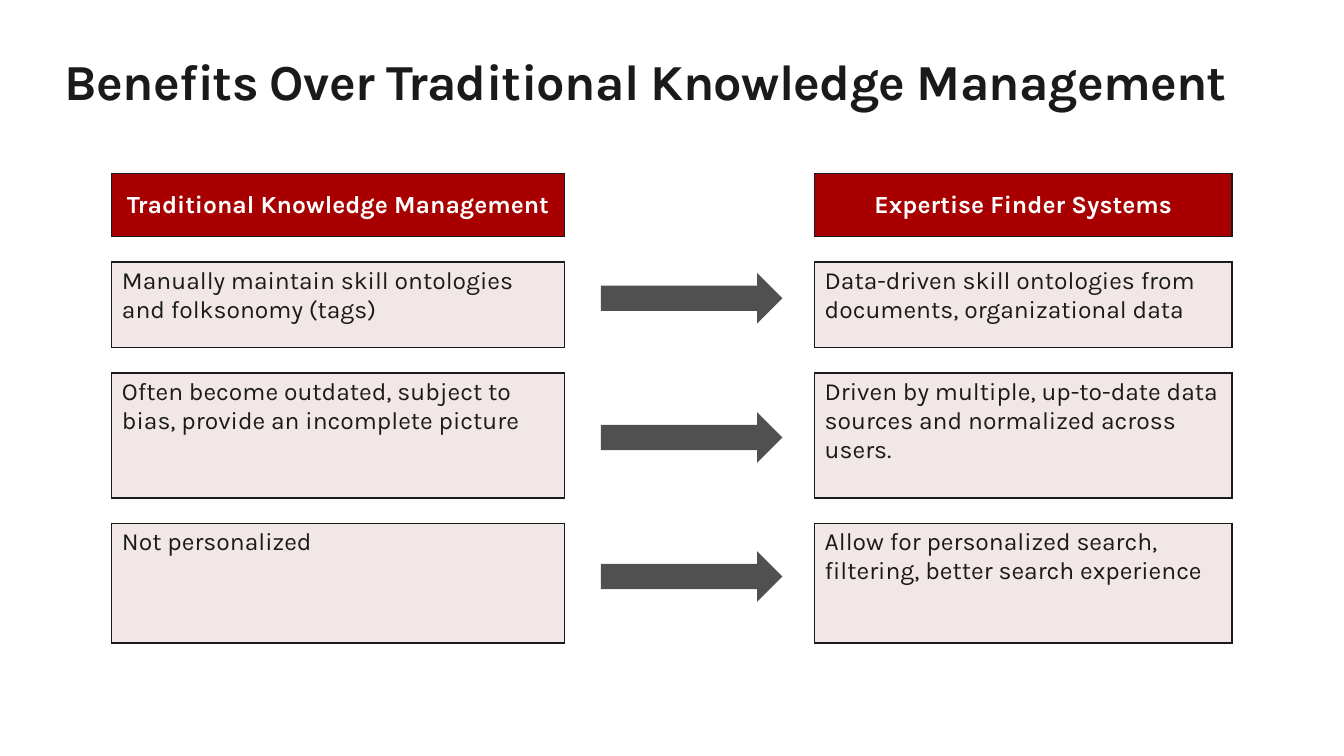
from dataclasses import dataclass
from lxml.etree import SubElement
from pptx import Presentation
from pptx.dml.color import RGBColor
from pptx.enum.shapes import MSO_SHAPE
from pptx.enum.text import MSO_ANCHOR, PP_ALIGN
from pptx.oxml.ns import qn
from pptx.util import Inches, Pt


@dataclass(frozen=True)
class Theme:
    """Colours, font and type sizes."""
    font: str = "Karla"
    ink: str = "1A1A1A"
    white: str = "FFFFFF"
    header: str = "A80000"
    body: str = "F1E7E7"
    arrow: str = "505050"
    title_size: float = 36
    cell_size: float = 17.6


class ComparisonSlide:
    """Draws the elements of a comparison slide in one style."""

    def __init__(self, s, theme):
        self.s = s
        self.theme = theme

    def run(self, p, text, size, color, bold=False):
        """Add one styled run."""
        r = p.add_run()
        r.text = text
        r.font.name = self.theme.font
        r.font.size = Pt(size)
        r.font.bold = bold
        r.font.color.rgb = RGBColor.from_string(color)
        return r

    def title(self, text, x, y, w, h):
        """Add the slide title."""
        tf = self.s.shapes.add_textbox(Inches(x), Inches(y), Inches(w), Inches(h)).text_frame
        tf.word_wrap = True
        tf.margin_left = tf.margin_right = tf.margin_top = tf.margin_bottom = 0
        r = self.run(tf.paragraphs[0], text, self.theme.title_size, self.theme.ink, True)
        r.font._element.set("spc", "-50")

    def borders(self, cell, drawn):
        """Rule the drawn sides of a cell and clear the others."""
        tcPr = cell._tc.get_or_add_tcPr()
        for side in "LRTB":
            ln = SubElement(tcPr, qn(f"a:ln{side}"), w=str(Pt(1)))
            if side in drawn:
                fill = SubElement(ln, qn("a:solidFill"))
                SubElement(fill, qn("a:srgbClr"), val=self.theme.ink)
            else:
                SubElement(ln, qn("a:noFill"))

    def box(self, cell, text, is_header):
        """Fill a bordered table cell with text."""
        t = self.theme
        self.borders(cell, "LRTB")
        cell.fill.solid()
        cell.fill.fore_color.rgb = RGBColor.from_string(t.header if is_header else t.body)
        cell.vertical_anchor = MSO_ANCHOR.MIDDLE if is_header else MSO_ANCHOR.TOP
        p = cell.text_frame.paragraphs[0]
        p.alignment = PP_ALIGN.CENTER if is_header else PP_ALIGN.LEFT
        self.run(p, text, t.cell_size, t.white if is_header else t.ink, is_header)

    def spacer(self, cell, drawn):
        """Leave a cell empty and small enough for a narrow row."""
        self.borders(cell, drawn)
        cell.fill.background()
        cell.margin_top = cell.margin_bottom = 0
        SubElement(cell.text_frame.paragraphs[0]._p, qn("a:endParaRPr"), sz="800")

    def comparison(self, pairs, x, y, widths, heights, gap):
        """Add a table of paired boxes with open space between them."""
        row_heights = [gap] * (2 * len(pairs) - 1)
        row_heights[::2] = heights
        table = self.s.shapes.add_table(
            len(row_heights), len(widths), Inches(x), Inches(y),
            Inches(sum(widths)), Inches(sum(row_heights))).table
        table.first_row = table.horz_banding = False
        for column, width in zip(table.columns, widths):
            column.width = Inches(width)
        for i, height in enumerate(row_heights):
            table.rows[i].height = Inches(height)
            for j in range(len(widths)):
                cell = table.cell(i, j)
                if i % 2:
                    self.spacer(cell, "" if j % 2 else "TB")
                elif j % 2:
                    self.spacer(cell, "LR")
                else:
                    self.box(cell, pairs[i // 2][j // 2], i == 0)

    def arrow(self, x, y, w, h):
        """Add a block arrow pointing right."""
        sp = self.s.shapes.add_shape(
            MSO_SHAPE.RIGHT_ARROW, Inches(x), Inches(y), Inches(w), Inches(h))
        sp.shadow.inherit = False
        sp.fill.solid()
        sp.fill.fore_color.rgb = RGBColor.from_string(self.theme.arrow)
        sp.line.fill.background()


PAIRS = [
    ("Traditional Knowledge Management", "Expertise Finder Systems"),
    ("Manually maintain skill ontologies and folksonomy (tags)",
     "Data-driven skill ontologies from documents, organizational data"),
    ("Often become outdated, subject to bias, provide an incomplete picture",
     "Driven by multiple, up-to-date data sources and normalized across users."),
    ("Not personalized",
     "Allow for personalized search, filtering, better search experience"),
]


def main():
    """Build and save the slide."""
    prs = Presentation()
    prs.slide_width, prs.slide_height = Inches(13.33), Inches(7.5)
    slide = ComparisonSlide(prs.slides.add_slide(prs.slide_layouts[6]), Theme())
    slide.title("Benefits Over Traditional Knowledge Management", 0.64, 0.5, 12.05, 0.61)
    slide.comparison(PAIRS, 1.11, 1.72, [4.49, 2.48, 4.14], [0.63, 0.85, 1.24, 1.19], 0.25)
    for i in range(len(PAIRS) - 1):
        slide.arrow(5.96, 2.71 + 1.38 * i, 1.8, 0.5)
    prs.save("out.pptx")


if __name__ == "__main__":
    main()
